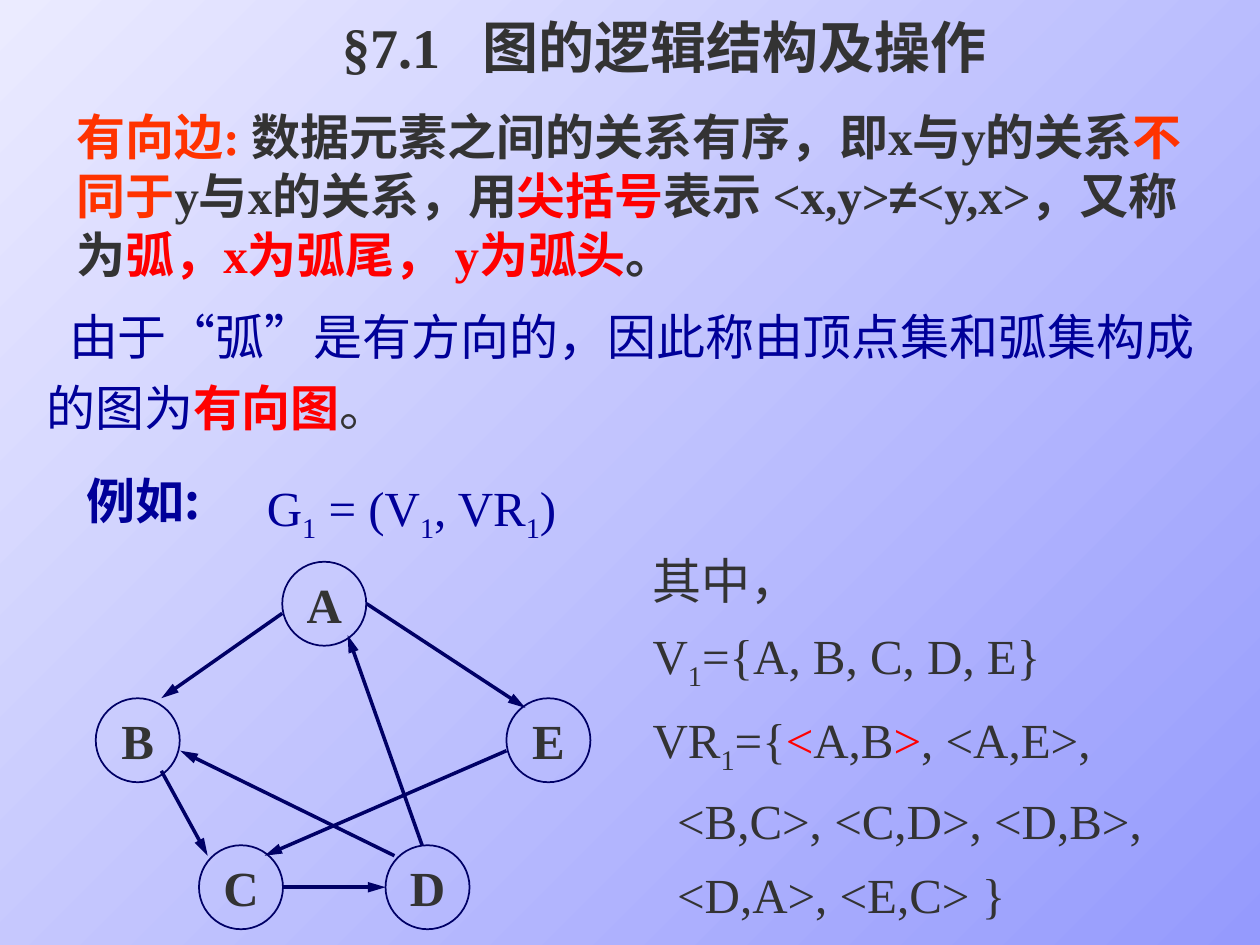
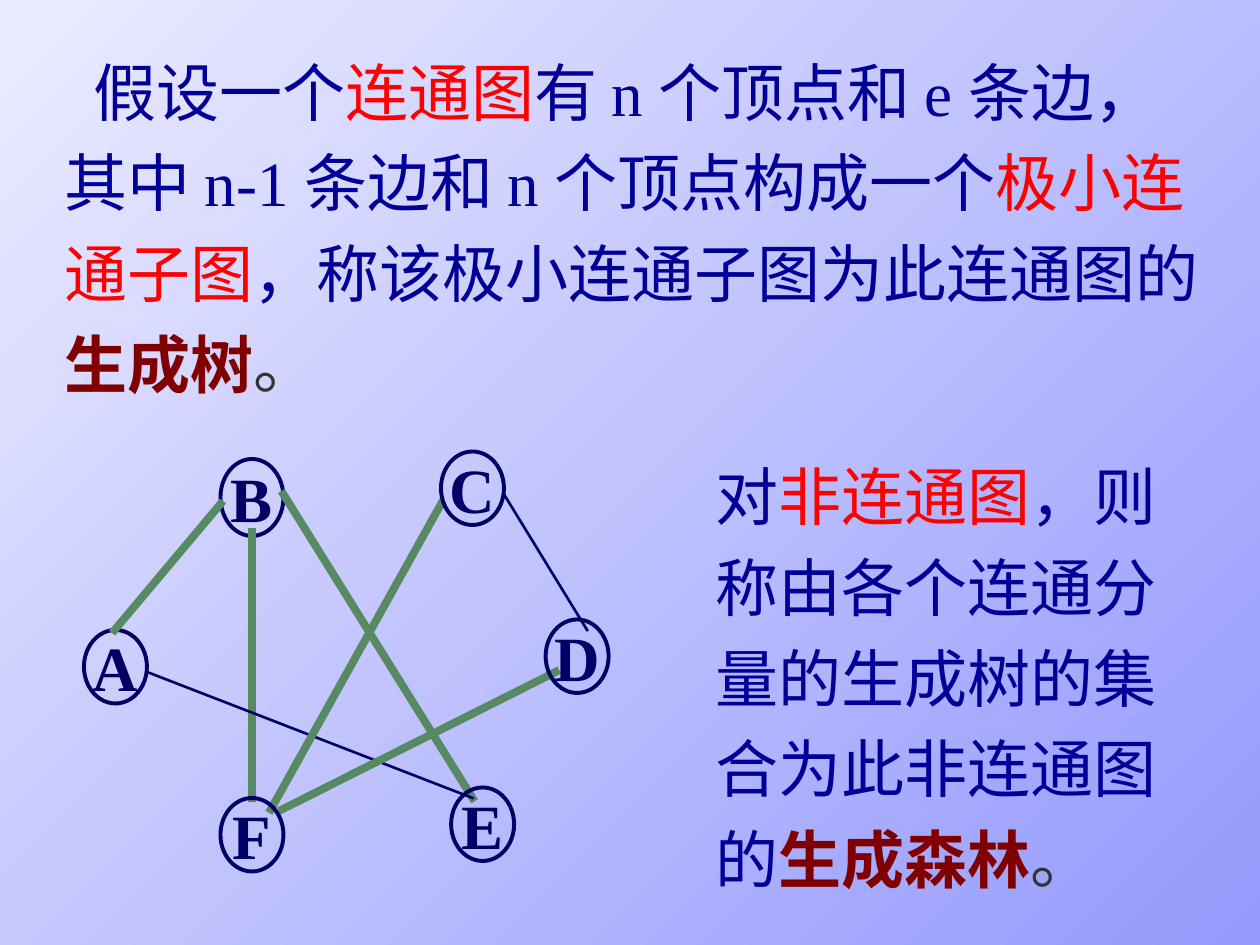
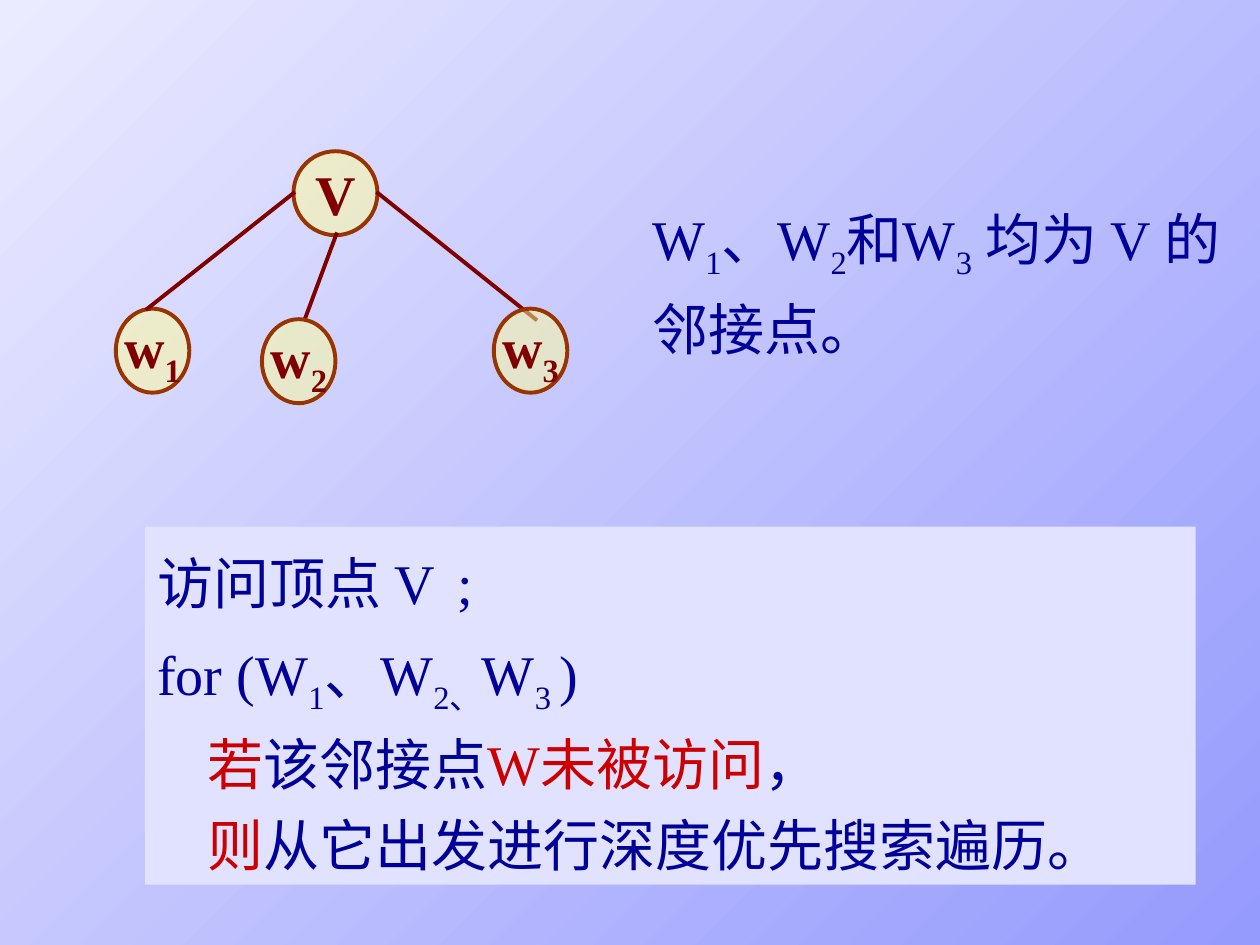
from lxml.etree import SubElement
from pptx import Presentation
from pptx.dml.color import RGBColor
from pptx.enum.shapes import MSO_CONNECTOR, MSO_SHAPE
from pptx.enum.text import MSO_ANCHOR, MSO_AUTO_SIZE, PP_ALIGN
from pptx.oxml.ns import qn
from pptx.util import Pt

LIGHT = RGBColor(0xEB, 0xEB, 0xFF)
DEEP = RGBColor(0x95, 0x9A, 0xFD)
PANEL = RGBColor(0xE1, 0xE2, 0xFF)
INK = RGBColor(0x33, 0x33, 0x33)
BLUE = RGBColor(0x00, 0x00, 0x99)
NAVY = RGBColor(0x00, 0x00, 0x66)
RED = RGBColor(0xFF, 0x00, 0x00)
ORANGE = RGBColor(0xFF, 0x33, 0x00)
CRIMSON = RGBColor(0xCC, 0x00, 0x00)
MAROON = RGBColor(0x80, 0x00, 0x00)
RUST = RGBColor(0x99, 0x33, 0x00)
GREEN = RGBColor(0x57, 0x89, 0x63)
CREAM = RGBColor(0xFF, 0xFF, 0x99)

TIMES = "Times New Roman"
SANS = "Noto Sans CJK SC"
TITLE_ONLY, BLANK = 5, 6


def add_bits(para, text, color, size, face, bold, track=0):
    """Add text as runs; whatever stands between two ~ is a subscript."""
    for i, piece in enumerate(text.split("~")):
        if not piece:
            continue
        run = para.add_run()
        run.text = piece
        font = run.font
        font.size, font.bold, font.name = Pt(size), bold, face
        font.color.rgb = color
        props = run._r.get_or_add_rPr()
        SubElement(props, qn("a:ea")).set("typeface", SANS)
        if i % 2:
            props.set("baseline", "-25000")
        if track:
            props.set("spc", str(track * 100))


def write(shape, lines, size, face=TIMES, bold=False, gap=1.0, align=PP_ALIGN.LEFT):
    """Fill a shape; each line is (first indent, [(text, colour, overrides)])."""
    frame = shape.text_frame
    for i, (indent, bits) in enumerate(lines):
        para = frame.add_paragraph() if i else frame.paragraphs[0]
        para.line_spacing = gap
        para.alignment = align
        props = para._p.get_or_add_pPr()
        props.set("indent", str(Pt(indent)))
        props.set("hangingPunct", "0")
        for text, color, *more in bits:
            style = {"face": face, "bold": bold, **(more[0] if more else {})}
            add_bits(para, text, color, size, **style)


def add_text(slide, box, lines, size, **style):
    shape = slide.shapes.add_textbox(*map(Pt, box))
    shape.text_frame.word_wrap = True
    write(shape, lines, size, **style)
    return shape


def add_title(slide, box, mark, text):
    title = slide.shapes.title
    title.left, title.top, title.width, title.height = map(Pt, box)
    frame = title.text_frame
    frame.auto_size = MSO_AUTO_SIZE.NONE
    frame.vertical_anchor = MSO_ANCHOR.TOP
    bits = [(mark, INK), (" ", INK, {"track": 16}), (text, INK)]
    write(title, [(0, bits)], 32, bold=True)


def add_node(slide, box, name, size, color, edge, width, fill=None):
    node = slide.shapes.add_shape(MSO_SHAPE.OVAL, *map(Pt, box))
    node.shadow.inherit = False
    if fill is None:
        node.fill.background()
    else:
        node.fill.solid()
        node.fill.fore_color.rgb = fill
        tint = node._element.spPr.find(".//" + qn("a:srgbClr"))
        SubElement(tint, qn("a:alpha")).set("val", "50000")
    node.line.color.rgb = edge
    node.line.width = Pt(width)
    node.text_frame.word_wrap = False
    node.text_frame.vertical_anchor = MSO_ANCHOR.MIDDLE
    write(node, [(0, [(name, color)])], size, bold=True, align=PP_ALIGN.CENTER)


def add_edge(slide, ends, color, width, arrow=False):
    line = slide.shapes.add_connector(MSO_CONNECTOR.STRAIGHT, *map(Pt, ends))
    line.line.color.rgb = color
    line.line.width = Pt(width)
    pen = line.line._get_or_add_ln()
    if arrow:
        head = SubElement(pen, qn("a:tailEnd"))
        head.set("type", "triangle")
        head.set("len", "lg")
    else:
        pen.set("cap", "sq")
    SubElement(line._element.spPr, qn("a:effectLst"))


def add_graph(slide, origin, under, edges, over, look, arrow=False):
    """Draw nodes (name, x, y, w, h) below and above edges (ends, colour, width)."""
    left, top = origin

    def add_nodes(nodes):
        for name, x, y, w, h in nodes:
            add_node(slide, (left + x, top + y, w, h), name, **look)

    add_nodes(under)
    for (x1, y1, x2, y2), color, width in edges:
        ends = left + x1, top + y1, left + x2, top + y2
        add_edge(slide, ends, color, width, arrow)
    add_nodes(over)


def add_directed(slide):
    add_text(slide, (36.7, 57.6, 669, 108), [(0, [
        ("有向边: ", ORANGE),
        ("数据元素之间的关系有序，即x与y的关系", INK),
        ("不同于", ORANGE),
        ("y与x的关系，用", INK),
        ("尖括号", RED),
        ("表示 <x,y>", INK),
        ("≠", INK, {"face": "Arial"}),
        ("<y,x>，又称为", INK),
        ("弧，x为弧尾， y为弧头", RED),
        ("。", INK)])], 28, bold=True)
    add_title(slide, (188.6, 3.6, 400, 46), "§7.1", "图的逻辑结构及操作")
    add_text(slide, (19.4, 165, 690, 88), [(13, [
        ("由于“弧”是有方向的，因此称由顶点集和弧集构成的图为", BLUE),
        ("有向图", RED, {"bold": True}),
        ("。", INK)])], 28, face=SANS, gap=1.2)

    spots = [("E", 234.7, 78), ("A", 106.6, 0), ("C", 59, 162),
             ("B", 0, 78), ("D", 165.6, 162)]
    arcs = [(106.6, 29.5, 37.5, 78), (37.5, 119.5, 64, 168),
            (106.6, 186, 165.6, 186), (186.5, 162, 144, 42),
            (154.8, 24, 245.5, 83.5), (170.7, 168, 48.3, 108),
            (234.7, 108, 96.5, 168)]
    add_graph(slide, (54.7, 321), [(*spot, 48, 48) for spot in spots],
              [(arc, NAVY, 2) for arc in arcs], [],
              dict(size=28, color=INK, edge=NAVY, width=1), arrow=True)

    add_text(slide, (42.5, 258.5, 137.5, 47.5), [(0, [("例如:", BLUE)])],
             28, face=SANS, bold=True, gap=1.2)
    add_text(slide, (145.4, 261.6, 270, 53),
             [(0, [("G~1~ = (V~1~, VR~1~)", BLUE)])], 28, gap=1.2)
    add_text(slide, (365.8, 302.4, 336, 229), [
        (0, [("其中，", INK, {"face": SANS})]),
        (0, [("V~1~={A, B, C, D, E}", INK)]),
        (0, [("VR~1~={", INK), ("<", RED), ("A,B", INK), (">", RED),
             (", <A,E>,", INK)]),
        (14, [("<B,C>, <C,D>, <D,B>,", INK)]),
        (14, [("<D,A>, <E,C> }", INK)])], 28, gap=1.25)


def add_spanning(slide):
    sans = {"face": SANS}
    add_text(slide, (29.8, 18.2, 672, 214.5), [(16.5, [
        ("假设一个", BLUE, sans),
        ("连通图", RED, sans),
        ("有 ", BLUE, sans),
        ("n ", BLUE),
        ("个顶点和 ", BLUE, sans),
        ("e ", BLUE),
        ("条边，其中 ", BLUE, sans),
        ("n-1 ", BLUE),
        ("条边和 ", BLUE, sans),
        ("n ", BLUE),
        ("个顶点构成一个", BLUE, sans),
        ("极小连通子图", RED, sans),
        ("，称该极小连通子图为此连通图的", BLUE, sans),
        ("生成树", MAROON, {"face": SANS, "bold": True}),
        ("。", INK, sans)])], 36, gap=1.2)
    add_text(slide, (401.8, 249.4, 300, 266.5), [(0, [
        ("对", BLUE),
        ("非连通图", RED),
        ("，则称由各个连通分量的生成树的集合为此非连通图的", BLUE),
        ("生成森林", MAROON, {"bold": True}),
        ("。", INK)])], 36, gap=1.2)

    tree, rest = (GREEN, 4.5), (NAVY, 1.5)
    edges = [((96, 46, 96, 198), *tree),
             ((78, 30, 17.5, 102), *tree),
             ((114, 24.5, 222, 198), *tree),
             ((36, 126, 222, 198), *rest),
             ((204, 30, 106.8, 204.5), *tree),
             ((240, 24.5, 287.5, 102), *rest),
             ((269.5, 126, 113.3, 204.5), *tree)]
    under = [("B", 78, 4.3, 36, 44), ("A", 0, 102, 36, 42)]
    over = [("C", 204, 0, 36, 42), ("D", 263.8, 96, 36, 42),
            ("F", 78, 198, 36, 42), ("E", 209.8, 192, 36, 42)]
    add_graph(slide, (48, 258), under, edges, over,
              dict(size=36, color=NAVY, edge=NAVY, width=2.25))


def add_search(slide):
    add_text(slide, (365.8, 104.4, 343.5, 106),
             [(0, [("W~1~、W~2~和W~3~ 均为 V 的邻接点。", BLUE)])], 32, gap=1.2)
    panel = add_text(slide, (82.8, 301, 600.5, 204.5), [
        (0, [("访问顶点 V", BLUE), (" ", BLUE, {"track": 5}), (";", BLUE)]),
        (0, [("for (W~1~、W~2、~W~3 ~)", BLUE)]),
        (28.5, [("若", CRIMSON), ("该邻接点", BLUE), ("W未被访问", CRIMSON),
                ("，", BLUE)]),
        (28.5, [("则", CRIMSON), ("从它出发进行深度优先搜索遍历。", BLUE)])],
        32, gap=1.2)
    panel.text_frame.margin_top = Pt(4.6)
    panel.text_frame.paragraphs[1].space_before = Pt(5)
    panel.fill.solid()
    panel.fill.fore_color.rgb = PANEL

    links = [(101.5, 24, 18, 90), (126, 47.5, 108, 96), (149.8, 24, 239.8, 96)]
    add_graph(slide, (66.2, 86.4),
              [("V", 101.5, 0, 48, 48), ("w~1~", 0, 90, 42, 48)],
              [(link, MAROON, 2.25) for link in links],
              [("w~3~", 216, 90, 42, 48), ("w~2~", 83.5, 96, 42, 48)],
              dict(size=32, color=MAROON, edge=RUST, width=2.25, fill=CREAM))


def paint_master(deck):
    fill = deck.slide_master.background.fill
    fill.gradient()
    fill.gradient_angle = 315
    for stop, color in zip(fill.gradient_stops, (LIGHT, DEEP)):
        stop.color.rgb = color


def main():
    deck = Presentation()
    deck.slide_width, deck.slide_height = Pt(720), Pt(540)
    paint_master(deck)
    pages = [(TITLE_ONLY, add_directed), (BLANK, add_spanning), (BLANK, add_search)]
    for layout, build in pages:
        build(deck.slides.add_slide(deck.slide_layouts[layout]))
    deck.save("out.pptx")


if __name__ == "__main__":
    main()
